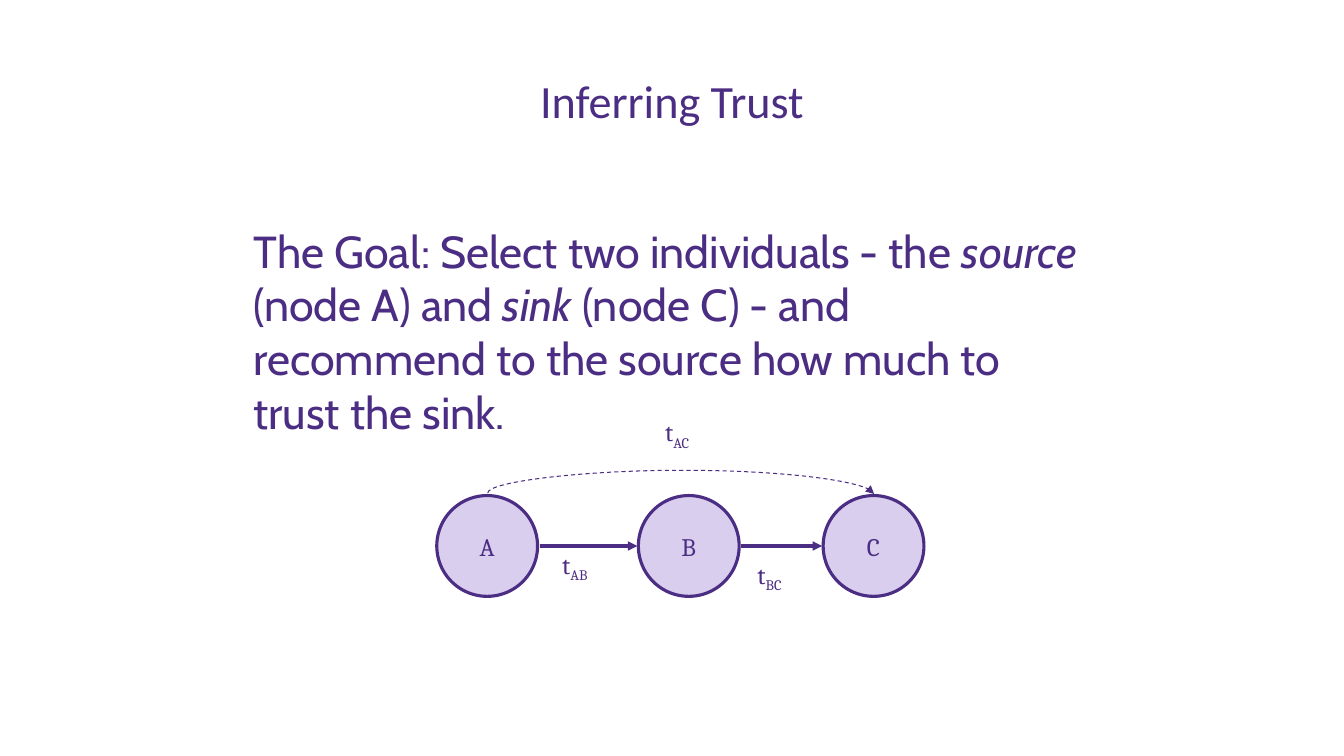
import pptx
import pptx.util
import pptx.dml.color
import pptx.enum.dml
import pptx.enum.shapes
import pptx.enum.text
import pptx.oxml
import pptx.oxml.ns

PX = 9525  # EMU in one px (96 px to the inch)
COLORS = {"purple": "4B2E83", "lilac": "D9CEEE"}
NODE_SIZE, NODE_TOP = 96, 472
NODE_LEFTS = {"A": 416, "B": 608, "C": 784}
LABELS = [("AB", 526, 518), ("BC", 712, 528), ("AC", 624, 392)]
GOAL = [
    ("The Goal: Select two individuals - the ", False),
    ("source", True),
    (" (node A) and ", False),
    ("sink ", True),
    ("(node C) - and recommend to the source how much to trust the sink.", False),
]
ANCHOR = pptx.enum.text.MSO_ANCHOR
ALIGN = pptx.enum.text.PP_ALIGN
AUTO_SIZE = pptx.enum.text.MSO_AUTO_SIZE
CONNECTOR = pptx.enum.shapes.MSO_CONNECTOR


def px(*lengths):
    return [pptx.util.Emu(n * PX) for n in lengths]


def rgb(name):
    return pptx.dml.color.RGBColor.from_string(COLORS[name])


def format_text(p, font, size, align=ALIGN.LEFT):
    p.alignment = align
    p.font.name = font
    p.font.size = pptx.util.Pt(size)
    p.font.color.rgb = rgb("purple")


def add_title(s, text):
    title = s.shapes.title
    title.left, title.top, title.width, title.height = px(88, 38, 1104, 115)
    tf = title.text_frame
    tf.text = text
    tf.auto_size = AUTO_SIZE.NONE
    tf.vertical_anchor = ANCHOR.MIDDLE
    format_text(tf.paragraphs[0], "Calibri", 33, ALIGN.CENTER)


def add_goal(s):
    tf = s.shapes.add_textbox(*px(232, 208, 816, 200)).text_frame
    tf.word_wrap = True
    p = tf.paragraphs[0]
    format_text(p, "Cabin", 32)
    for text, italic in GOAL:
        r = p.add_run()
        r.text = text
        r.font.italic = italic


def add_node(s, name, left):
    sp = s.shapes.add_shape(pptx.enum.shapes.MSO_SHAPE.OVAL,
                            *px(left, NODE_TOP, NODE_SIZE, NODE_SIZE))
    sp.shadow.inherit = False
    sp.fill.solid()
    sp.fill.fore_color.rgb = rgb("lilac")
    sp.line.color.rgb = rgb("purple")
    sp.line.width = pptx.util.Pt(2.25)
    tf = sp.text_frame
    tf.text = name
    tf.word_wrap = False
    tf.vertical_anchor = ANCHOR.MIDDLE
    format_text(tf.paragraphs[0], "Cambria", 18, ALIGN.CENTER)


def add_arrow(s, kind, x1, y1, x2, y2, weight):
    c = s.shapes.add_connector(kind, *px(x1, y1, x2, y2))
    c.line.color.rgb = rgb("purple")
    c.line.width = pptx.util.Pt(weight)
    ns = pptx.oxml.ns.nsdecls("a")
    c.line._get_or_add_ln().append(
        pptx.oxml.parse_xml(f'<a:tailEnd {ns} type="triangle"/>'))
    c._element.spPr.append(pptx.oxml.parse_xml(f"<a:effectLst {ns}/>"))
    return c


def add_arc(s, x1, x2, y, rise):
    """Dashed arrow that bows upwards: a 1 px wide curve turned by 90 degrees."""
    mid, half = (x1 + x2) // 2, (x2 - x1) // 2
    c = add_arrow(s, CONNECTOR.CURVE, mid, y + half, mid + 1, y - half, 0.75)
    c.line.dash_style = pptx.enum.dml.MSO_LINE.DASH
    spPr = c._element.spPr
    spPr.find(pptx.oxml.ns.qn("a:xfrm")).set("rot", "5400000")
    guides = spPr.find(".//" + pptx.oxml.ns.qn("a:avLst"))
    guides.append(pptx.oxml.parse_xml(
        f'<a:gd {pptx.oxml.ns.nsdecls("a")} name="adj1" fmla="val {-rise * 100000}"/>'))


def add_label(s, pair, left, top):
    tf = s.shapes.add_textbox(*px(left, top, 49, 38)).text_frame
    tf.word_wrap = False
    tf.auto_size = AUTO_SIZE.SHAPE_TO_FIT_TEXT
    p = tf.paragraphs[0]
    format_text(p, "Cambria", 18)
    p.add_run().text = "t"
    r = p.add_run()
    r.text = pair
    r.font._element.set("baseline", "-25000")


def main():
    prs = pptx.Presentation()
    prs.slide_width, prs.slide_height = px(1280, 720)
    s = prs.slides.add_slide(prs.slide_layouts[5])

    # Title and goal
    add_title(s, "Inferring Trust")
    add_goal(s)

    # Nodes
    for name, left in NODE_LEFTS.items():
        add_node(s, name, left)

    # Trust arrows between neighbours, then from source to sink
    lefts = list(NODE_LEFTS.values())
    middle = NODE_TOP + NODE_SIZE // 2
    for start, end in zip(lefts, lefts[1:]):
        add_arrow(s, CONNECTOR.STRAIGHT, start + NODE_SIZE + 2, middle,
                  end - 1, middle, 2.25)
    add_arc(s, lefts[0] + NODE_SIZE // 2, lefts[-1] + NODE_SIZE // 2,
            NODE_TOP - 2, 22)

    # Trust values
    for pair, left, top in LABELS:
        add_label(s, pair, left, top)

    prs.save("out.pptx")


if __name__ == "__main__":
    main()
